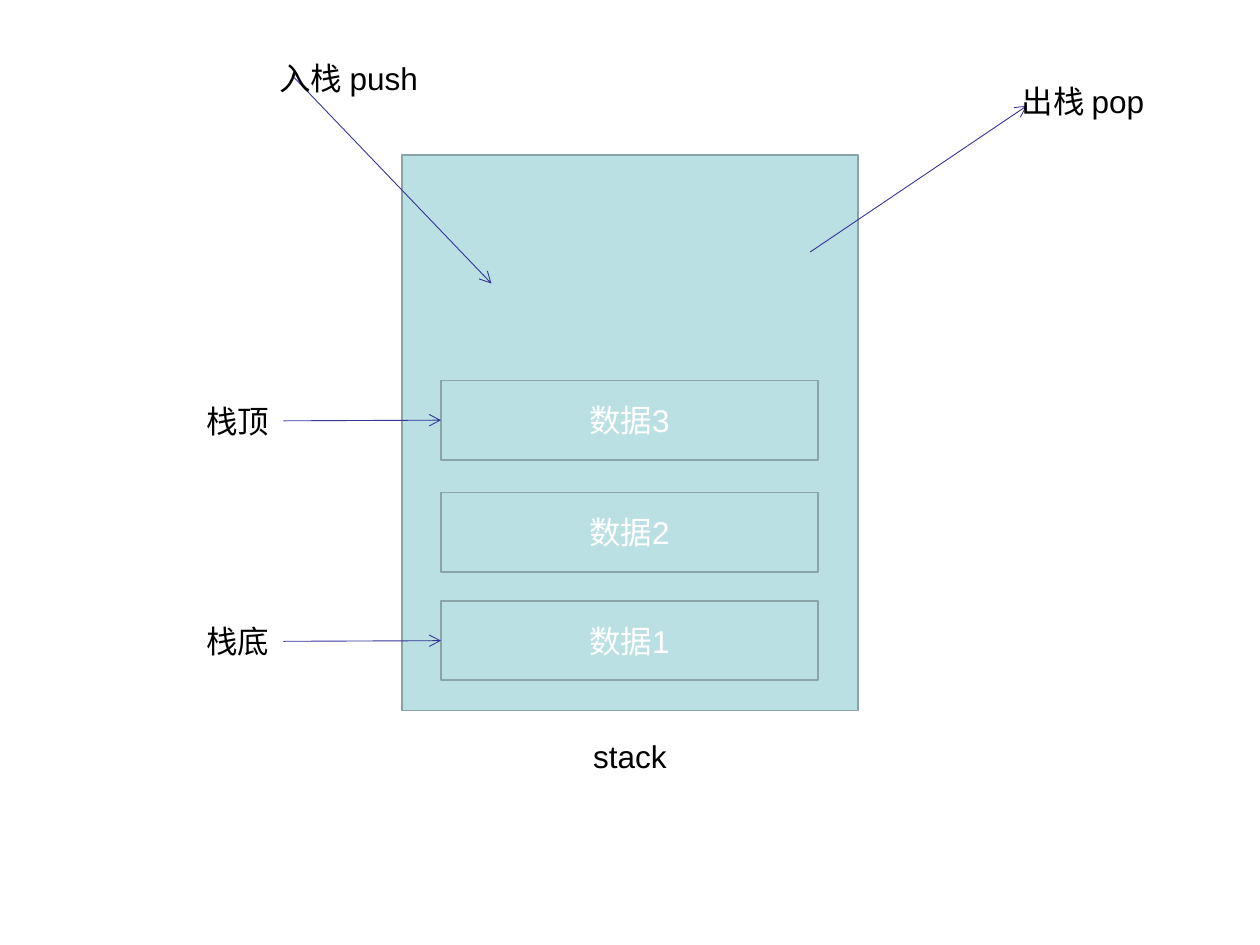
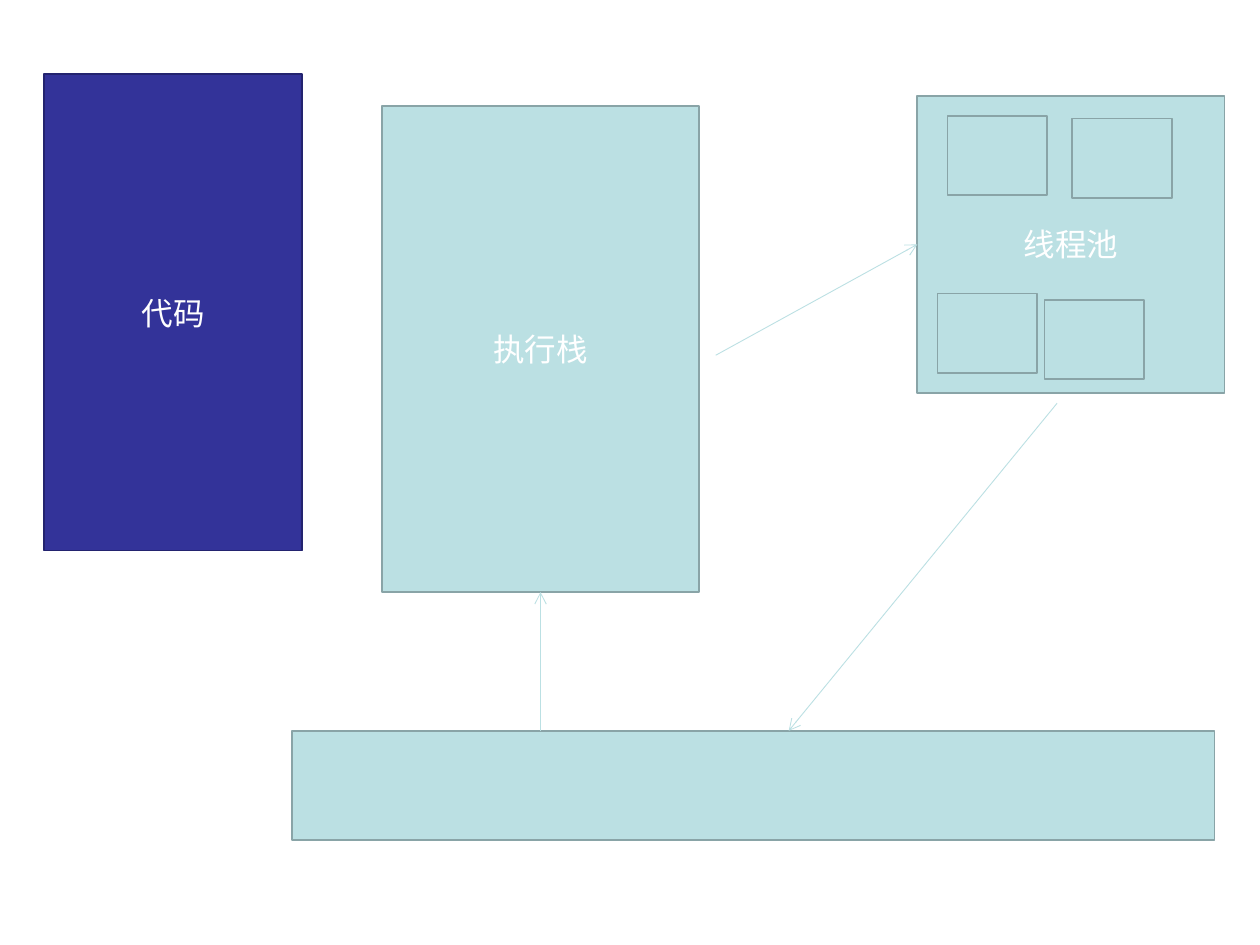
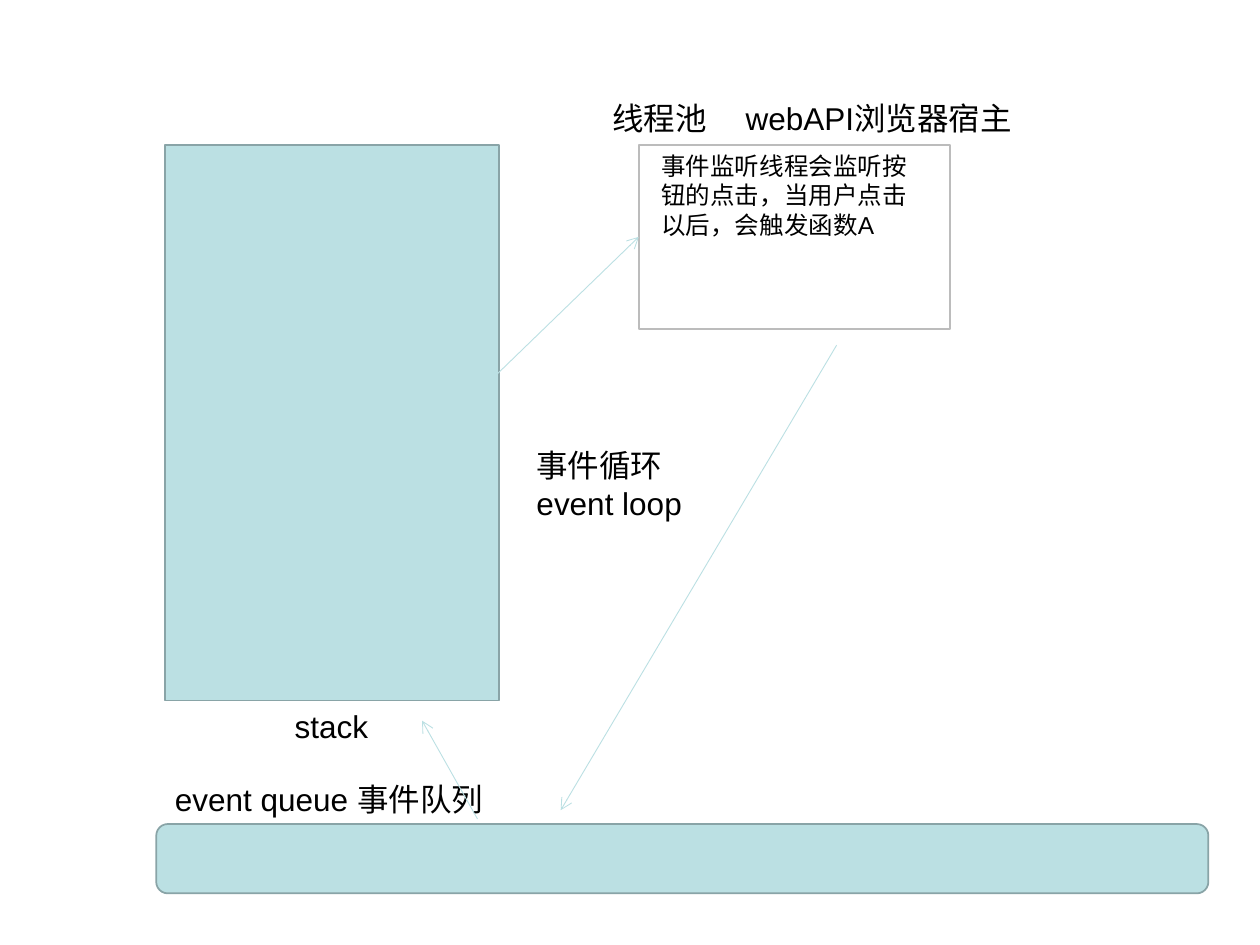
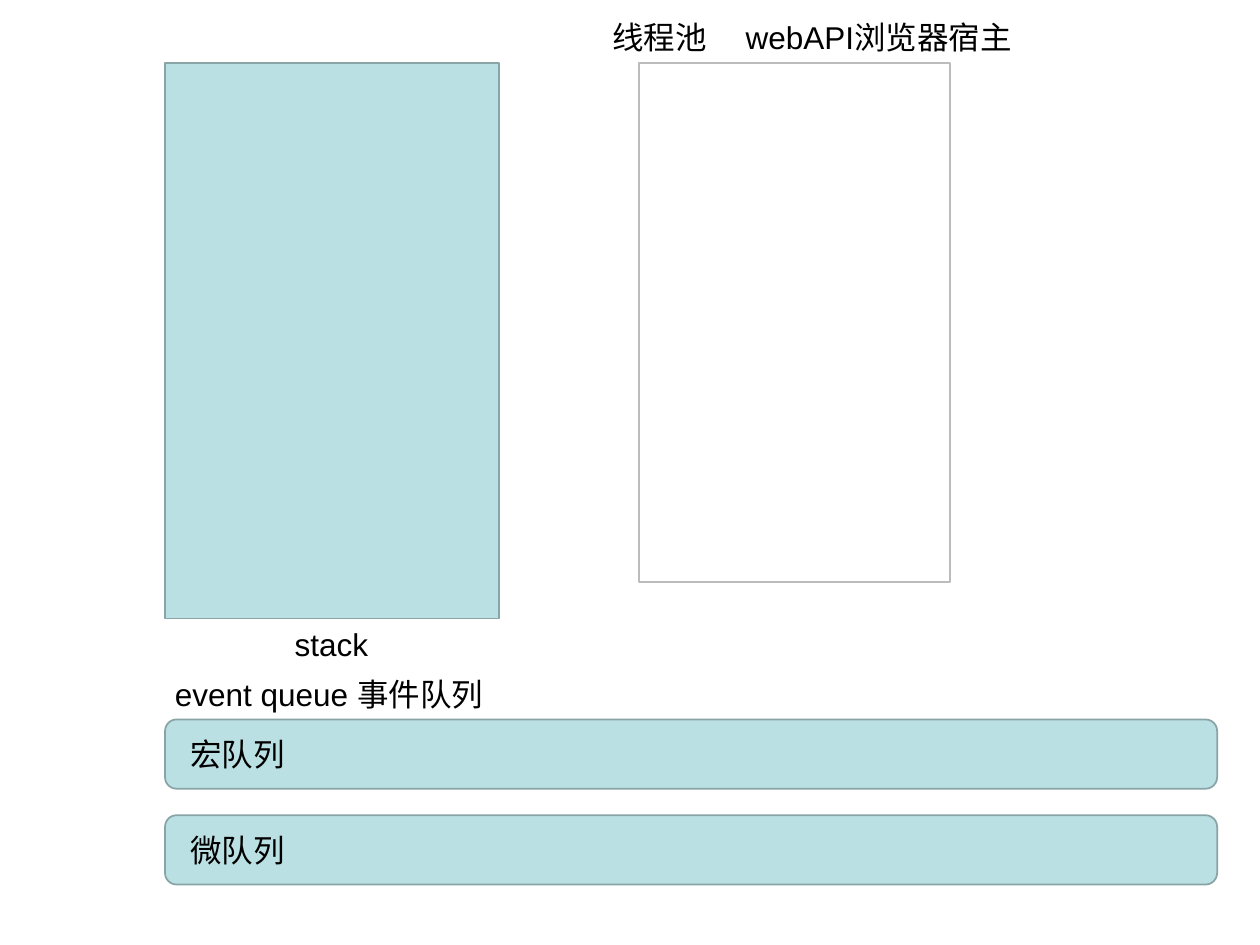
from pptx import Presentation
from pptx.dml.color import RGBColor
from pptx.enum.shapes import MSO_CONNECTOR, MSO_SHAPE
from pptx.enum.text import MSO_ANCHOR, MSO_AUTO_SIZE, PP_ALIGN
from pptx.oxml.ns import qn
from pptx.util import Inches, Pt
from lxml.etree import SubElement

COLORS = {
    "aqua": "BBE0E3", "aqua_line": "89A4A7",
    "navy": "333399", "navy_line": "23236F",
    "white": "FFFFFF", "white_line": "BCBCBC",
    "black": "000000",
}
FONT = "Arial"

prs = Presentation()
prs.slide_width, prs.slide_height = Inches(10), Inches(7.5)
blank = prs.slide_layouts[6]

# Grid: 100 columns by 75 rows
COL = prs.slide_width / 100
ROW = prs.slide_height / 75
LABEL_H = 4


def add_box(s, x, y, w, h, text="", fill=None, kind=MSO_SHAPE.RECTANGLE, size=18, wrap=False):
    """Add a filled shape with centred white text, or a plain label if fill is None."""
    place = int(x * COL), int(y * ROW), int(w * COL), int(h * ROW)
    if fill:
        sp = s.shapes.add_shape(kind, *place)
        sp.shadow.inherit = False
        sp.fill.solid()
        sp.fill.fore_color.rgb = RGBColor.from_string(COLORS[fill])
        sp.line.color.rgb = RGBColor.from_string(COLORS[fill + "_line"])
        sp.line.width = Pt(1)
    else:
        sp = s.shapes.add_textbox(*place)
    tf = sp.text_frame
    tf.text = text
    tf.word_wrap = wrap or bool(fill)
    if fill:
        tf.vertical_anchor = MSO_ANCHOR.MIDDLE
    else:
        tf.auto_size = MSO_AUTO_SIZE.SHAPE_TO_FIT_TEXT
    for p in tf.paragraphs:
        p.alignment = PP_ALIGN.CENTER if fill else PP_ALIGN.LEFT
        for r in p.runs:
            r.font.name, r.font.size = FONT, Pt(size)
            r.font.color.rgb = RGBColor.from_string(COLORS["white" if fill else "black"])
    return sp


def add_arrow(s, x1, y1, x2, y2, color="aqua"):
    c = s.shapes.add_connector(MSO_CONNECTOR.STRAIGHT, int(x1 * COL), int(y1 * ROW),
                               int(x2 * COL), int(y2 * ROW))
    c.line.color.rgb = RGBColor.from_string(COLORS[color])
    c.line.width = Pt(0.5)
    spPr = c._element.spPr
    SubElement(spPr.find(qn("a:ln")), qn("a:tailEnd"), type="arrow")
    SubElement(spPr, qn("a:effectLst"))
    return c


# Slide 1: the stack, its data and its two ends
s = prs.slides.add_slide(blank)
add_box(s, 31.9, 12.3, 36.2, 44.1, fill="aqua")
add_box(s, 46.1, 58, 8.2, LABEL_H, "stack")
data = [add_box(s, 35, y, 29.9, 6.3, f"数据{n}", "aqua")
        for n, y in enumerate((47.7, 39.1, 30.2), 1)]
for text, y, sp in (("栈底", 48.9, data[0]), ("栈顶", 31.4, data[-1])):
    label = add_box(s, 15.4, y, 7.1, LABEL_H, text)
    c = add_arrow(s, 22.5, y + 2, 35, y + 2, "navy")
    c.begin_connect(label, 3)
    c.end_connect(sp, 1)
add_arrow(s, 23.2, 6, 39, 22.5, "navy")
add_arrow(s, 64.3, 20, 81.5, 8.4, "navy")
add_box(s, 21.2, 4.2, 14, LABEL_H, "入栈 push")
add_box(s, 80.1, 6, 12.7, LABEL_H, "出栈 pop")

# Slide 2: code, execution stack, thread pool and queue
s = prs.slides.add_slide(blank)
stack = add_box(s, 30.3, 8.4, 25.2, 38.6, "执行栈", "aqua")
add_box(s, 3.5, 5.9, 20.5, 37.8, "代码", "navy")
pool = add_box(s, 72.8, 7.6, 24.4, 23.6, "线程池", "aqua")
add_box(s, 23.2, 58, 73.2, 8.7, fill="aqua")
for x, y in ((74.4, 23.3), (82.9, 23.8), (75.2, 9.2), (85.1, 9.4)):
    add_box(s, x, y, 7.9, 6.3, fill="aqua")
add_arrow(s, 56.8, 28.2, 72.8, 19.4).end_connect(pool, 1)
add_arrow(s, 83.9, 32, 62.6, 58)
add_arrow(s, 42.9, 58, 42.9, 47).end_connect(stack, 2)

# Slides 3 and 4: stack and thread pool above the event queues
loops = []
for top, pool_h, queue_x, queue_tops in ((11.5, 14.6, 12.4, [65.4]),
                                         (5, 41.2, 13.1, [57.1, 64.7])):
    s = prs.slides.add_slide(blank)
    for y in queue_tops:
        add_box(s, queue_x, y, 83.5, 5.5, fill="aqua", kind=MSO_SHAPE.ROUNDED_RECTANGLE)
    add_box(s, 13.1, top, 26.5, 44.1, fill="aqua")
    add_box(s, 22.4, top + 44.1, 8.2, LABEL_H, "stack")
    pool = add_box(s, 50.7, top, 24.7, pool_h, fill="white")
    add_box(s, 47.6, top - 4.1, 9.8, LABEL_H, "线程池")
    add_box(s, 58.2, top - 4.1, 24.1, LABEL_H, "webAPI浏览器宿主")
    add_box(s, 12.9, queue_tops[0] - LABEL_H, 27.6, LABEL_H, "event queue 事件队列")
    loops.append((s, pool, queue_tops))

# Slide 3: the event loop
s, pool, _ = loops[0]
add_box(s, 51.5, 11.5, 23.2, 8, "事件监听线程会监听按钮的点击，当用户点击以后，会触发函数A",
        size=14, wrap=True)
add_arrow(s, 38.1, 31, 50.7, 18.8).end_connect(pool, 1)
add_arrow(s, 66.4, 27.4, 44.5, 64.3)
add_arrow(s, 37.9, 65, 33.5, 57.2)
add_box(s, 41.6, 34.9, 14, 7, "事件循环\nevent loop")

# Slide 4: macro and micro queues
s, _, queue_tops = loops[1]
for text, y in zip(("宏队列", "微队列"), queue_tops):
    add_box(s, 14.1, y + 0.75, 9.8, LABEL_H, text)

prs.save("out.pptx")
